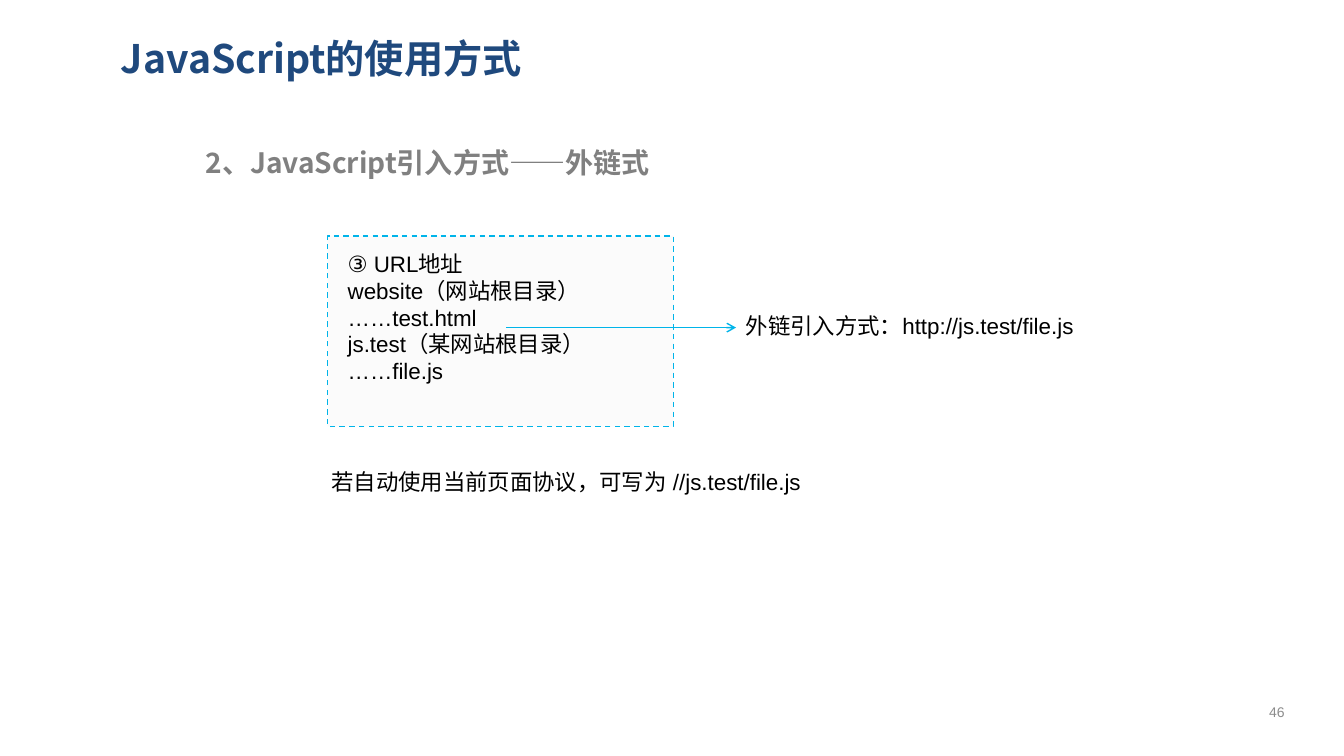
"""Build the slide on linking external JavaScript files."""
from lxml import etree
from pptx import Presentation
from pptx.dml.color import RGBColor
from pptx.enum.dml import MSO_LINE
from pptx.enum.shapes import MSO_CONNECTOR, MSO_SHAPE
from pptx.enum.text import MSO_ANCHOR, PP_ALIGN
from pptx.oxml.ns import qn
from pptx.util import Pt

PX = 9144
DASH = MSO_LINE.DASH
RECTANGLE = MSO_SHAPE.RECTANGLE
STRAIGHT = MSO_CONNECTOR.STRAIGHT
TOP, MIDDLE = MSO_ANCHOR.TOP, MSO_ANCHOR.MIDDLE
LEFT, CENTER = PP_ALIGN.LEFT, PP_ALIGN.CENTER
CYAN = "00B4E9"
HEADING = "Noto Sans CJK SC"
TITLE_STYLE = {"name": HEADING, "size": Pt(28), "bold": True}
SUBTITLE_STYLE = {"name": HEADING, "size": Pt(20), "bold": True}
BODY_STYLE = {"name": "Arial", "size": Pt(16)}
NUMBER_STYLE = {"name": "Arial", "size": Pt(10)}


def px(*lengths):
    """Turn pixel lengths into EMU."""
    return [length * PX for length in lengths]


def color(value):
    """Turn a hex string into a colour."""
    return RGBColor.from_string(value)


def write(frame, lines, style, ink="000000", anchor=TOP, align=LEFT, wrap=True):
    """Fill a text frame with one formatted paragraph per line."""
    frame.word_wrap = wrap
    frame.vertical_anchor = anchor
    for index, line in enumerate(lines):
        paragraph = frame.add_paragraph() if index else frame.paragraphs[0]
        paragraph.alignment = align
        run = paragraph.add_run()
        run.text = line
        for attribute, value in style.items():
            setattr(run.font, attribute, value)
        run.font.color.rgb = color(ink)
        east_asian = etree.SubElement(run.font._element, qn("a:ea"))
        east_asian.set("typeface", style["name"])


def add_title(slide, box, text):
    """Place and fill the title placeholder."""
    title = slide.shapes.title
    title.left, title.top, title.width, title.height = px(*box)
    write(title.text_frame, [text], TITLE_STYLE, "1F497D", MIDDLE)


def add_text(slide, box, lines, style=BODY_STYLE, **layout):
    """Add a text box."""
    write(slide.shapes.add_textbox(*px(*box)).text_frame, lines, style, **layout)


def add_dashed_panel(slide, box):
    """Add the pale panel with a dashed outline."""
    panel = slide.shapes.add_shape(RECTANGLE, *px(*box))
    panel.shadow.inherit = False
    panel.fill.solid()
    panel.fill.fore_color.rgb = color("FBFBFB")
    panel.line.color.rgb = color(CYAN)
    panel.line.width = Pt(1)
    panel.line.dash_style = DASH


def add_arrow(slide, ends):
    """Add a straight line with an open arrowhead at its end."""
    arrow = slide.shapes.add_connector(STRAIGHT, *px(*ends))
    arrow.line.color.rgb = color(CYAN)
    arrow.line.width = Pt(1)
    etree.SubElement(arrow.line._get_or_add_ln(), qn("a:tailEnd")).set("type", "arrow")
    etree.SubElement(arrow._element.spPr, qn("a:effectLst"))


def main():
    """Build and save the slide."""
    deck = Presentation()
    deck.slide_width, deck.slide_height = px(1333, 750)
    slide = deck.slides.add_slide(deck.slide_layouts[5])
    add_title(slide, (110, 24, 1165, 67), "JavaScript的使用方式")
    add_text(slide, (194, 139, 922, 44), ["2、JavaScript引入方式——外链式"],
             SUBTITLE_STYLE, ink="808080")
    add_dashed_panel(slide, (325, 234, 343, 189))
    add_text(slide, (335, 243, 332, 161), [
        "③ URL地址",
        "website（网站根目录）",
        "……test.html",
        "js.test（某网站根目录）",
        "……file.js",
    ])
    add_arrow(slide, (502, 325, 730, 325))
    add_text(slide, (730, 305, 390, 40), ["外链引入方式：http://js.test/file.js"], wrap=False)
    add_text(slide, (319, 460, 786, 40), ["若自动使用当前页面协议，可写为 //js.test/file.js"])
    add_text(slide, (1234, 686, 65, 40), ["46"], NUMBER_STYLE,
             ink="8C8C8C", anchor=MIDDLE, align=CENTER)
    deck.save("out.pptx")


if __name__ == "__main__":
    main()
